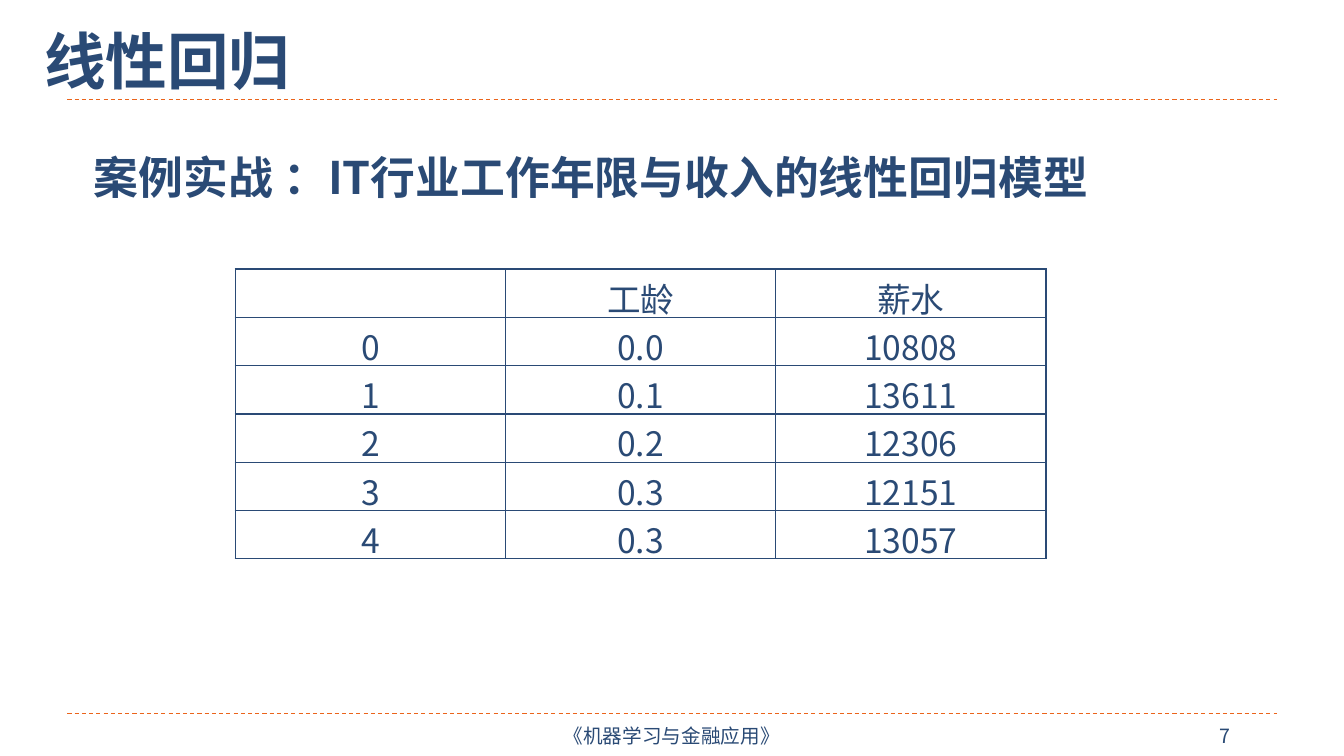
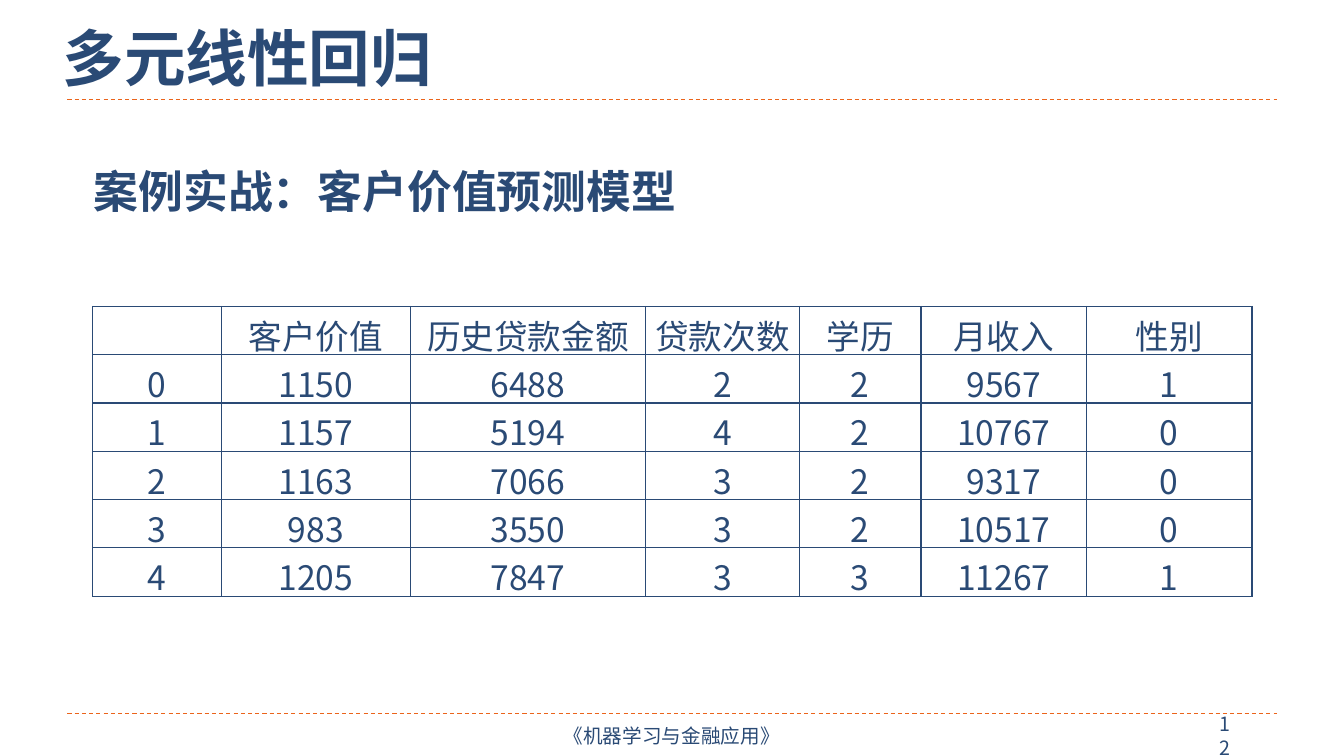
"""Build two lesson slides that each show a titled case with a data table."""
from lxml import etree
from pptx import Presentation, util as u
from pptx.dml.color import RGBColor
from pptx.enum import dml, lang, shapes, text
from pptx.oxml import ns

HUES = {"navy": "2A4A75", "rust": "EB641B", "white": "FFFFFF"}
FACE = "Noto Sans CJK SC"
ROW = 0.7
CASES = [
    {
        "title": "线性回归", "spot": (0.86, 0.46, 7, 2.13), "page": "7",
        "head": "案例实战 ：IT行业工作年限与收入的线性回归模型", "top": 3.66,
        "grid": (5.93, 6.78), "cols": [6.81] * 3, "pad": 0.25,
        "rows": [
            ("", "工龄", "薪水"),
            ("0", "0.0", "10808"),
            ("1", "0.1", "13611"),
            ("2", "0.2", "12306"),
            ("3", "0.3", "12151"),
            ("4", "0.3", "13057"),
        ],
    },
    {
        "title": "多元线性回归", "spot": (1.32, 0.38, 10, 2.13), "page": "12",
        "head": "案例实战：客户价值预测模型", "top": 4.01,
        "grid": (2.34, 7.72), "pad": 0,
        "cols": [3.24, 4.76, 5.93, 3.87, 3.07, 4.17, 4.17],
        "rows": [
            ("", "客户价值", "历史贷款金额", "贷款次数", "学历", "月收入", "性别"),
            ("0", "1150", "6488", "2", "2", "9567", "1"),
            ("1", "1157", "5194", "4", "2", "10767", "0"),
            ("2", "1163", "7066", "3", "2", "9317", "0"),
            ("3", "983", "3550", "3", "2", "10517", "0"),
            ("4", "1205", "7847", "3", "3", "11267", "1"),
        ],
    },
]


def hue(name):
    return RGBColor.from_string(HUES[name])


def cms(box):
    return [u.Cm(n) for n in box]


def style(frame, size, bold=False, align=text.PP_ALIGN.LEFT):
    for para in frame.paragraphs:
        para.alignment = align
        for run in para.runs:
            font = run.font
            font.size, font.bold, font.name = u.Pt(size), bold, FACE
            font.color.rgb = hue("navy")
            font.language_id = lang.MSO_LANGUAGE_ID.SIMPLIFIED_CHINESE
            latin = font._element.find(ns.qn("a:latin"))
            east = etree.Element(ns.qn("a:ea"), typeface=FACE)
            latin.addnext(east)


def label(slide, box, words, size, anchor=text.MSO_ANCHOR.TOP, **look):
    shape = slide.shapes.add_textbox(*cms(box))
    frame = shape.text_frame
    frame.word_wrap, frame.vertical_anchor = True, anchor
    frame.text = words
    style(frame, size, **look)
    return shape


def rule(slide, left, top, width):
    line = slide.shapes.add_connector(
        shapes.MSO_CONNECTOR.STRAIGHT, *cms((left, top, left + width, top)))
    line.line.color.rgb = hue("rust")
    line.line.width = u.Pt(0.75)
    line.line.dash_style = dml.MSO_LINE.DASH
    etree.SubElement(line.element.spPr, ns.qn("a:effectLst"))
    return line


def frame_up(slide):
    foot = label(slide, (11.43, 18.03, 11, 1.02), "《机器学习与金融应用》", 14,
                 text.MSO_ANCHOR.MIDDLE, align=text.PP_ALIGN.CENTER)
    body = foot.text_frame
    body.margin_left = body.margin_right = 0
    body.margin_top = body.margin_bottom = 0
    parts = [rule(slide, 1.7, top, 30.48) for top in (2.5, 17.99)] + [foot]
    for part in parts:
        slide.slide_layout.shapes.element.append(part.element)


def title(slide, box, words):
    shape = slide.shapes.title
    shape.left, shape.top, shape.width, shape.height = cms(box)
    frame = shape.text_frame
    frame.text = words
    frame.word_wrap = False
    frame.auto_size = text.MSO_AUTO_SIZE.NONE
    frame.vertical_anchor = text.MSO_ANCHOR.TOP
    style(frame, 44, bold=True)


def edge(cell):
    props = cell._tc.get_or_add_tcPr()
    for spot, side in enumerate(("lnL", "lnR", "lnT", "lnB")):
        line = etree.Element(ns.qn("a:" + side), w=str(u.Pt(1)))
        fill = etree.SubElement(line, ns.qn("a:solidFill"))
        etree.SubElement(fill, ns.qn("a:srgbClr"), val=HUES["navy"])
        props.insert(spot, line)


def grid(slide, left, top, cols, rows, pad):
    box = (left, top, sum(cols), ROW * len(rows))
    table = slide.shapes.add_table(len(rows), len(cols), *cms(box)).table
    table.first_row = table.horz_banding = False
    for col, width in zip(table.columns, cols):
        col.width = u.Cm(width)
    for line, row in zip(table.rows, rows):
        for cell, words in zip(line.cells, row):
            cell.text = words
            cell.margin_left = cell.margin_right = u.Cm(pad)
            cell.margin_top = cell.margin_bottom = u.Cm(0.1)
            cell.fill.solid()
            cell.fill.fore_color.rgb = hue("white")
            edge(cell)
            style(cell.text_frame, 24, align=text.PP_ALIGN.CENTER)


def lesson(slide, case):
    title(slide, case["spot"], case["title"])
    label(slide, (2.11, case["top"], 28.55, 1.63), case["head"], 32, bold=True)
    grid(slide, *case["grid"], case["cols"], case["rows"], case["pad"])
    label(slide, (30.48, 18.11, 1.04, 0.86), case["page"], 14,
          text.MSO_ANCHOR.MIDDLE)


def main():
    deck = Presentation()
    deck.slide_width, deck.slide_height = cms((33.87, 19.05))
    plain = deck.slide_layouts[5]
    for spot, case in enumerate(CASES):
        slide = deck.slides.add_slide(plain)
        if spot == 0:
            frame_up(slide)
        lesson(slide, case)
    deck.save("out.pptx")


if __name__ == "__main__":
    main()
